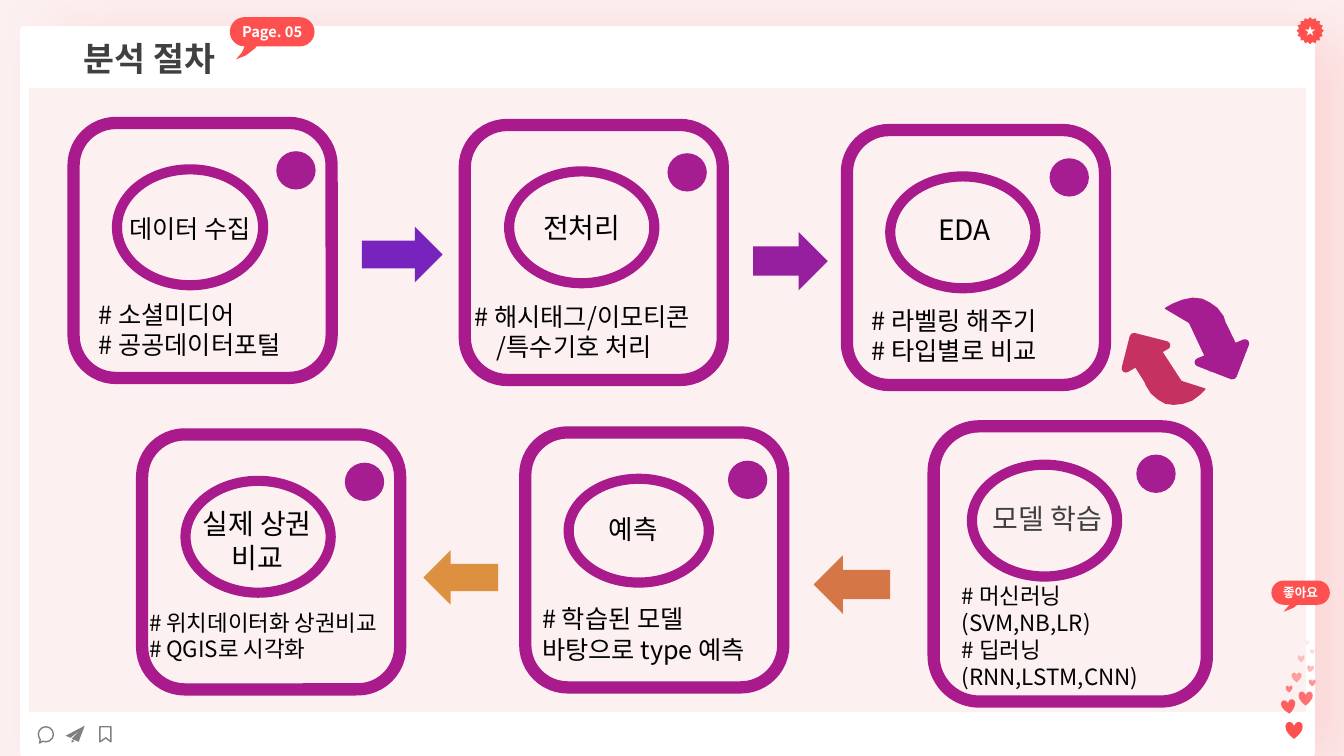
from lxml import etree
from pptx import Presentation
from pptx.dml.color import RGBColor
from pptx.enum.shapes import MSO_SHAPE
from pptx.enum.text import MSO_ANCHOR, MSO_AUTO_SIZE, PP_ALIGN
from pptx.oxml.ns import qn
from pptx.util import Inches, Pt

RECT, ROUND, OVAL = MSO_SHAPE.RECTANGLE, MSO_SHAPE.ROUNDED_RECTANGLE, MSO_SHAPE.OVAL
HEART, BURST, TRIANGLE = MSO_SHAPE.HEART, MSO_SHAPE.STAR_16_POINT, MSO_SHAPE.RIGHT_TRIANGLE
BUBBLE, RIGHT, LEFT = MSO_SHAPE.OVAL_CALLOUT, MSO_SHAPE.RIGHT_ARROW, MSO_SHAPE.LEFT_ARROW
CENTER, ALIGN_LEFT = PP_ALIGN.CENTER, PP_ALIGN.LEFT
TOP, MIDDLE = MSO_ANCHOR.TOP, MSO_ANCHOR.MIDDLE
FONT = "Noto Sans CJK KR"
CORAL, GRAY, PINK, WHITE = "FF5050", "808080", "FCF0F0", "FFFFFF"
PURPLE, FRAME, CRIMSON, BLACK, DARK = "A51D91", "A91B8D", "C53261", "000000", "404040"

prs = Presentation()
prs.slide_width, prs.slide_height = Inches(13.33), Inches(7.5)
slide = prs.slides.add_slide(prs.slide_layouts[5])
shapes = slide.shapes
slide.background.fill.solid()
slide.background.fill.fore_color.rgb = RGBColor.from_string(PINK)


def paint(shape, fill=None, line=None, width=1):
    shape.shadow.inherit = False
    if fill:
        shape.fill.solid()
        shape.fill.fore_color.rgb = RGBColor.from_string(fill)
    else:
        shape.fill.background()
    if line:
        shape.line.color.rgb = RGBColor.from_string(line)
        shape.line.width = Pt(width)
    else:
        shape.line.fill.background()
    return shape


def write(shape, lines, size, color, align=ALIGN_LEFT, anchor=TOP, bold=False, wrap=False):
    frame = shape.text_frame
    frame.text = "\n".join(lines)
    frame.auto_size, frame.word_wrap = MSO_AUTO_SIZE.NONE, wrap
    frame.vertical_anchor = anchor
    for paragraph in frame.paragraphs:
        paragraph.alignment = align
        font = paragraph.font
        font.name, font.size, font.bold = FONT, Pt(size), bold
        font.color.rgb = RGBColor.from_string(color)
        etree.SubElement(font._element, qn("a:ea"), typeface=FONT)
    return frame


# White page with a soft shadow, and the pink work area
page = paint(shapes.add_shape(RECT, Inches(0.24), Inches(0.3), Inches(12.76), Inches(7.17)),
             WHITE, WHITE, 6.25)
glow = etree.SubElement(page.element.spPr.find(qn("a:effectLst")), qn("a:outerShdw"),
                        blurRad=str(Pt(40)), dist=str(Pt(24)), dir="900000", rotWithShape="0")
glow_color = etree.SubElement(glow, qn("a:srgbClr"), val="FFBBBC")
etree.SubElement(glow_color, qn("a:alpha"), val="45000")
paint(shapes.add_shape(RECT, Inches(0.24), Inches(0.83), Inches(12.76), Inches(6.28)),
      PINK, WHITE, 6.25)

# Title, brought in front of the page
title = shapes.title
title.left, title.top, title.width, title.height = (Inches(v) for v in (0.73, 0.33, 1.55, 0.5))
write(title, ["분석 절차"], 24, DARK, bold=True)
title.element.getparent().append(title.element)

# Star badge
badge = paint(shapes.add_shape(BURST, Inches(12.86), Inches(0.17), Inches(0.27), Inches(0.27)), CORAL)
badge.adjustments[0] = 0.42
write(badge, ["★"], 8, WHITE, CENTER, MIDDLE, True)

# Comment icon
comment = paint(shapes.add_shape(BUBBLE, Inches(0.38), Inches(7.21), Inches(0.15), Inches(0.15)),
                None, GRAY)
comment.adjustments[0], comment.adjustments[1] = -0.42, 0.58

# Free outlines: bookmark, paper plane, bubble tails, curved arrow bodies
outlines = [
    ([(0.99, 7.21), (1.1, 7.21), (1.1, 7.36), (1.05, 7.32), (0.99, 7.36)], None, GRAY),
    ([(0.71, 7.34), (0.74, 7.35), (0.71, 7.37)], GRAY, None),
    ([(0.84, 7.2), (0.78, 7.36), (0.71, 7.33), (0.8, 7.24), (0.7, 7.32), (0.65, 7.3)], GRAY, None),
    ([(2.62, 0.33), (2.45, 0.33), (2.44, 0.43), (2.4, 0.52), (2.34, 0.59), (2.44, 0.55),
      (2.53, 0.48), (2.61, 0.37)], CORAL, None),
    ([(13.01, 5.81), (12.83, 5.81), (12.83, 5.91), (12.79, 6), (12.73, 6.07), (12.83, 6.03),
      (12.92, 5.96), (12.99, 5.86)], CORAL, None),
    ([(12, 3.01), (11.92, 2.97), (11.83, 2.96), (11.73, 2.98), (11.63, 3.02), (11.56, 3.06),
      (12.17, 3.42), (12.17, 3.34), (12.16, 3.23), (12.13, 3.14), (12.07, 3.06)], PURPLE, PURPLE),
    ([(12.16, 3.22), (11.71, 3.08), (11.77, 3.14), (12, 3.63), (11.98, 3.64), (12, 3.68),
      (12.31, 3.53)], PURPLE, PURPLE),
    ([(11.56, 4), (11.64, 4.01), (11.73, 4), (11.82, 3.97), (11.9, 3.91), (11.95, 3.86),
      (11.33, 3.66), (11.34, 3.73), (11.37, 3.82), (11.42, 3.9), (11.49, 3.96)], CRIMSON, CRIMSON),
    ([(11.39, 3.84), (11.83, 3.92), (11.77, 3.87), (11.49, 3.44), (11.51, 3.42), (11.49, 3.39),
      (11.22, 3.57)], CRIMSON, CRIMSON),
]
for points, fill, line in outlines:
    corners = [(Inches(x), Inches(y)) for x, y in points]
    builder = shapes.build_freeform(*corners[0], scale=1)
    builder.add_line_segments(corners[1:], close=True)
    paint(builder.convert_to_shape(), fill, line)

# Heads of the curved arrows
for x, y, w, h, angle, color in [(11.94, 3.33, 0.36, 0.34, 21.2, PURPLE),
                                 (11.2, 3.38, 0.33, 0.32, 194.3, CRIMSON)]:
    head = paint(shapes.add_shape(TRIANGLE, Inches(x), Inches(y), Inches(w), Inches(h)),
                 color, color, 6)
    head.rotation = angle
    head.element.spPr.xfrm.set("flipH", "1")
    etree.SubElement(head.line._get_or_add_ln(), qn("a:round"))

# Rising hearts: left, top, size, rotation, opacity in percent
hearts = [
    (12.75, 7.16, 0.17, 0, 100), (12.71, 6.94, 0.14, 351.3, 90), (12.88, 6.86, 0.14, 0, 80),
    (12.75, 6.8, 0.07, 0, 70), (12.98, 6.74, 0.07, 0, 60), (12.81, 6.67, 0.1, 0, 50),
    (12.96, 6.6, 0.07, 11.5, 40), (12.87, 6.5, 0.07, 0, 30), (12.99, 6.44, 0.05, 0, 20),
    (12.94, 6.35, 0.05, 0, 10),
]
for x, y, size, angle, opacity in hearts:
    heart = paint(shapes.add_shape(HEART, Inches(x), Inches(y), Inches(size), Inches(size)), CORAL)
    heart.rotation = angle
    heart_color = heart.element.spPr.find(qn("a:solidFill")).find(qn("a:srgbClr"))
    etree.SubElement(heart_color, qn("a:alpha"), val=str(opacity * 1000))

# Speech bubbles
for x, y, w, h, words, size in [(2.28, 0.17, 0.84, 0.29, "Page. 05", 10.5),
                                (12.61, 5.76, 0.58, 0.24, "좋아요", 9)]:
    bubble = paint(shapes.add_shape(ROUND, Inches(x), Inches(y), Inches(w), Inches(h)), CORAL)
    bubble.adjustments[0] = 0.5
    write(bubble, [words], size, WHITE, CENTER, MIDDLE, True)

# Stages: card, ring (offset and size), label (box, lines, size, colour), caption (box, lines, size)
stages = [
    ((0.73, 1.22, 2.56, 2.53), (0.43, 0.46, 1.45, 1.15),
     (1.16, 2.07, 1.45, 0.4), ["데이터 수집"], 18, BLACK,
     (0.88, 2.92, 2.26, 0.71), ["# 소셜미디어", "# 공공데이터포털"], 18),
    ((4.61, 1.24, 2.56, 2.53), (0.44, 0.46, 1.44, 1.11),
     (5.28, 2.04, 0.98, 0.44), ["전처리"], 20, BLACK,
     (4.61, 2.94, 2.65, 0.71), ["# 해시태그/이모티콘", "/특수기호 처리"], 18),
    ((8.4, 1.29, 2.56, 2.53), (0.43, 0.46, 1.44, 1.11),
     (9.17, 2.06, 0.79, 0.44), ["EDA"], 20, BLACK,
     (8.55, 2.98, 2.26, 0.71), ["# 라벨링 해주기", "# 타입별로 비교"], 18),
    ((9.26, 4.23, 2.71, 2.73), (0.38, 0.38, 1.44, 1.11),
     (9.73, 4.93, 1.32, 0.44), ["모델 학습"], 20, DARK,
     (9.44, 5.73, 2.71, 1.18), ["# 머신러닝", "(SVM,NB,LR)", "# 딥러닝(RNN,LSTM,CNN)"], 16),
    ((5.21, 4.29, 2.56, 2.53), (0.43, 0.46, 1.39, 1.03),
     (5.81, 5.04, 0.94, 0.42), ["예측"], 19, BLACK,
     (5.28, 5.94, 2.42, 0.71), ["# 학습된 모델 바탕으로 type 예측"], 18),
    ((1.41, 4.31, 2.56, 2.53), (0.43, 0.46, 1.44, 1.11),
     (1.89, 4.98, 1.32, 0.77), ["실제 상권", "비교"], 20, BLACK,
     (1.38, 5.99, 2.87, 0.64), ["# 위치데이터화 상권비교", "# QGIS로 시각화"], 16),
]
for card, ring, label_box, label, label_size, label_color, caption_box, caption, size in stages:
    x, y = card[:2]
    label_area = shapes.add_textbox(*(Inches(v) for v in label_box))
    write(label_area, label, label_size, label_color, CENTER)
    paint(shapes.add_shape(ROUND, *(Inches(v) for v in card)), None, FRAME, 8.75)
    dx, dy, w, h = ring
    paint(shapes.add_shape(OVAL, Inches(x + dx), Inches(y + dy), Inches(w), Inches(h)),
          None, FRAME, 7.25)
    paint(shapes.add_shape(OVAL, Inches(x + 2.01), Inches(y + 0.28), Inches(0.39), Inches(0.38)),
          PURPLE)
    caption_area = shapes.add_textbox(*(Inches(v) for v in caption_box))
    caption_frame = write(caption_area, caption, size, BLACK, wrap=True)
    for paragraph in caption_frame.paragraphs:
        if paragraph.text.startswith("/"):
            paragraph._p.get_or_add_pPr().set("marL", str(Inches(0.22)))

# Arrows between the stages
for kind, x, y, w, h, color in [(RIGHT, 3.59, 2.25, 0.8, 0.55, "7723BE"),
                                (RIGHT, 7.47, 2.3, 0.74, 0.58, "961FA0"),
                                (LEFT, 8.07, 5.51, 0.76, 0.58, "D57646"),
                                (LEFT, 4.2, 5.46, 0.74, 0.54, "DD903F")]:
    paint(shapes.add_shape(kind, Inches(x), Inches(y), Inches(w), Inches(h)), color)

prs.save("out.pptx")
